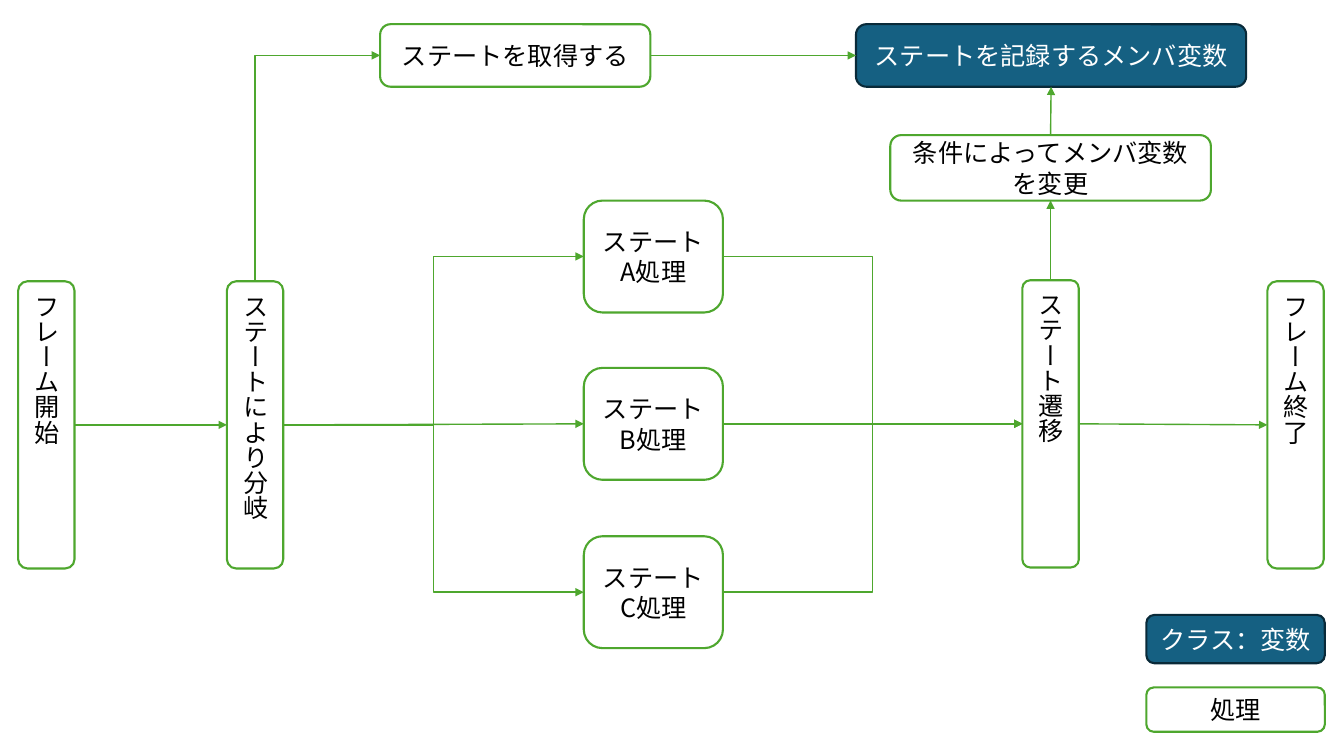
from pptx import Presentation
from pptx.dml.color import RGBColor
from pptx.enum.shapes import MSO_CONNECTOR as CONN, MSO_SHAPE as SHAPE
from pptx.enum.text import MSO_ANCHOR as ANCHOR, PP_ALIGN as ALIGN
from pptx.oxml.ns import qn
from pptx.util import Emu, Pt
from lxml.etree import SubElement

PX = 9144  # 100 px to the inch
TOP, LEFT, BOTTOM, RIGHT = range(4)


def px(n):
    return Emu(n * PX)


def color(value):
    return RGBColor.from_string(value)


class FlowChart:
    FONT = "Noto Sans CJK JP"
    SIZE = Pt(18)
    GREEN = "4EA72E"
    PROCESS = ("FFFFFF", GREEN, "000000")  # fill, line, text
    VARIABLE = ("156082", "092A39", "FFFFFF")

    def __init__(self, slide):
        self.slide = slide

    def box(self, text, x, y, w, h, style=PROCESS):
        fill, line, ink = style
        sp = self.slide.shapes.add_shape(SHAPE.ROUNDED_RECTANGLE, px(x), px(y), px(w), px(h))
        sp.shadow.inherit = False
        sp.fill.solid()
        sp.fill.fore_color.rgb = color(fill)
        sp.line.color.rgb = color(line)
        sp.line.width = Pt(1.5)
        tf = sp.text_frame
        tf.word_wrap = True
        tf.vertical_anchor = ANCHOR.MIDDLE
        p = tf.paragraphs[0]
        p.text = text
        p.alignment = ALIGN.CENTER
        p.font.size = self.SIZE
        p.font.name = self.FONT
        p.font.color.rgb = color(ink)
        SubElement(p.font._element, qn("a:ea"), typeface=self.FONT)
        return sp

    def column(self, text, x, y=279):
        """Tall box with vertical Japanese text."""
        sp = self.box(text, x, y, 56, 285)
        sp.text_frame._txBody.bodyPr.set("vert", "eaVert")
        return sp

    def arrow(self, start, end, sides=(RIGHT, LEFT), kind=CONN.STRAIGHT):
        c = self.slide.shapes.add_connector(kind, 0, 0, 0, 0)
        c.begin_connect(start, sides[0])
        c.end_connect(end, sides[1])
        c.line.color.rgb = color(self.GREEN)
        c.line.width = Pt(1)
        SubElement(c.line._get_or_add_ln(), qn("a:tailEnd"), type="triangle")
        SubElement(c._element.spPr, qn("a:effectLst"))
        return c

    def corner_arrow(self, start, end):
        """One-bend arrow going up from start, then right into end."""
        c = self.arrow(start, end, (TOP, LEFT), CONN.ELBOW)
        x, y, w, h = c.left, c.top, c.width, c.height
        c.left, c.top = x + (w - h) // 2, y + (h - w) // 2
        c.width, c.height = h, w
        pr = c._element.spPr
        pr.find(qn("a:prstGeom")).set("prst", "bentConnector2")
        xfrm = pr.find(qn("a:xfrm"))
        for name, value in (("rot", "5400000"), ("flipH", "1"), ("flipV", "1")):
            xfrm.set(name, value)


def main():
    prs = Presentation()
    prs.slide_width, prs.slide_height = px(1333), px(750)
    chart = FlowChart(prs.slides.add_slide(prs.slide_layouts[6]))

    frame_start = chart.column("フレーム開始", 18)
    branch = chart.column("ステートにより分岐", 225)
    transition = chart.column("ステート遷移", 1014, 278)
    transition.adjustments[0] = 0.14
    frame_end = chart.column("フレーム終了", 1257)

    get_state = chart.box("ステートを取得する", 377, 24, 268, 62)
    member = chart.box("ステートを記録するメンバ変数", 849, 24, 387, 62, chart.VARIABLE)
    change = chart.box("条件によってメンバ変数を変更", 883, 134, 318, 65)

    for name, y, kind in (
        ("A", 199, CONN.ELBOW),
        ("B", 365, CONN.STRAIGHT),
        ("C", 532, CONN.ELBOW),
    ):
        state = chart.box(f"ステート{name}処理", 579, y, 138, 111)
        chart.arrow(branch, state, kind=kind)
        chart.arrow(state, transition, kind=kind)

    chart.arrow(frame_start, branch)
    chart.arrow(transition, frame_end)
    chart.arrow(get_state, member)
    chart.arrow(transition, change, (TOP, BOTTOM))
    chart.arrow(change, member, (TOP, BOTTOM))
    chart.corner_arrow(branch, get_state)

    chart.box("クラス：変数", 1137, 610, 177, 48, chart.VARIABLE)
    chart.box("処理", 1137, 682, 177, 44)

    prs.save("out.pptx")


if __name__ == "__main__":
    main()
